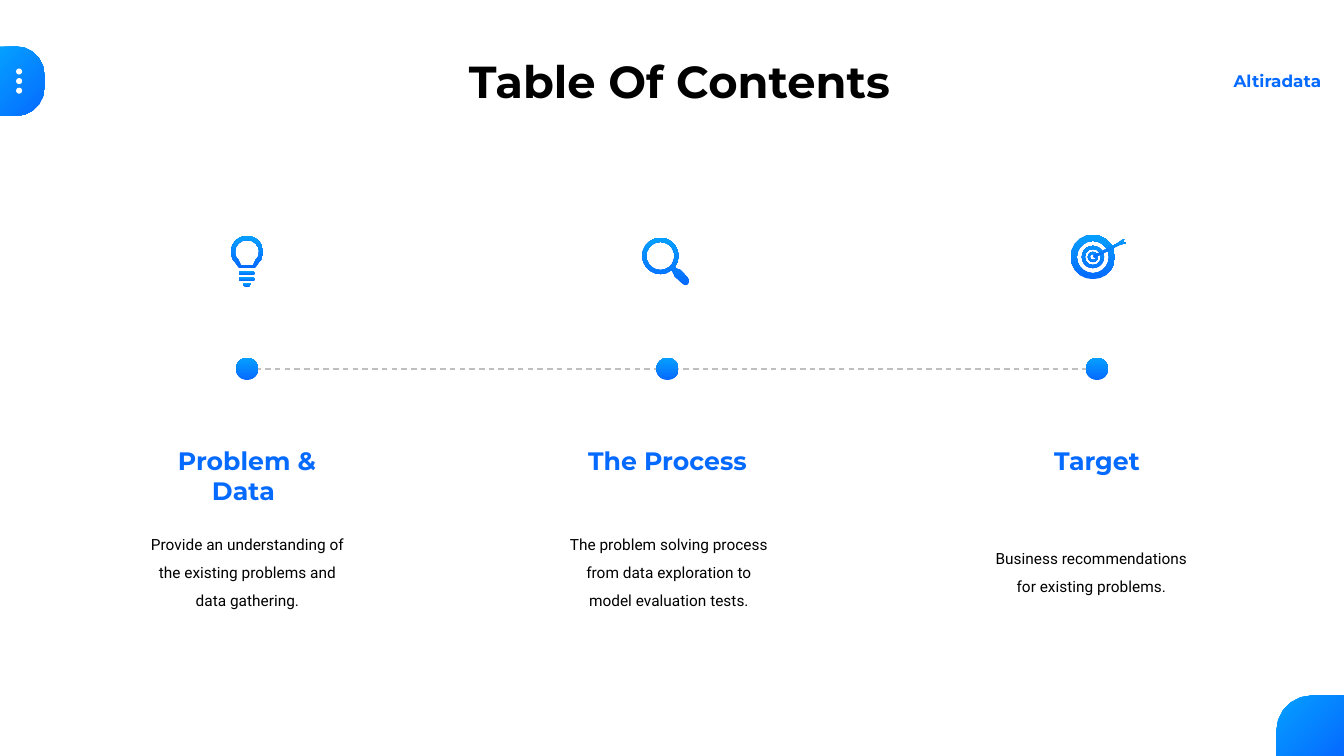
from dataclasses import dataclass
from math import cos, radians, sin
from typing import Callable

from lxml import etree
from pptx import Presentation
from pptx.dml.color import RGBColor
from pptx.enum.dml import MSO_LINE
from pptx.enum.shapes import MSO_CONNECTOR, MSO_SHAPE
from pptx.enum.text import MSO_ANCHOR, PP_ALIGN
from pptx.oxml.ns import qn
from pptx.util import Inches, Pt

OVAL = MSO_SHAPE.OVAL
STRAIGHT = MSO_CONNECTOR.STRAIGHT
DASH = MSO_LINE.DASH
CENTER = PP_ALIGN.CENTER
TOP, MIDDLE = MSO_ANCHOR.TOP, MSO_ANCHOR.MIDDLE


@dataclass(frozen=True)
class Theme:
    """Colours, fonts and type sizes of the deck."""
    deep: RGBColor = RGBColor(0x05, 0x6A, 0xFF)
    light: RGBColor = RGBColor(0x05, 0xA0, 0xFF)
    ink: RGBColor = RGBColor(0, 0, 0)
    paper: RGBColor = RGBColor(0xFF, 0xFF, 0xFF)
    rule: RGBColor = RGBColor(0xBF, 0xBF, 0xBF)
    display: str = "Montserrat"
    body: str = "Roboto"
    title_size: int = 32
    heading_size: int = 18
    brand_size: int = 12
    body_size: int = 11


THEME = Theme()


@dataclass(frozen=True)
class Topic:
    """One stop on the timeline."""
    center: float
    heading: str
    summary: str
    icon: Callable
    summary_shift: float = 0
    summary_drop: float = 0


def arc(cx, cy, radius, start, end):
    """Return points along an arc, in degrees clockwise from the right."""
    steps = round((end - start) / (18 if radius > 0.1 else 30))
    angles = [radians(start + (end - start) * i / steps) for i in range(steps + 1)]
    return [(cx + radius * cos(a), cy + radius * sin(a)) for a in angles]


def capsule(cx, cy, half, radius):
    """Return a horizontal bar with round ends."""
    return (arc(cx + half, cy, radius, -90, 90)
            + arc(cx - half, cy, radius, 90, 270))


def shade(shape, radial=False):
    """Fill a shape with the blue gradient and drop its line and shadow."""
    shape.shadow.inherit = False
    shape.line.fill.background()
    shape.fill.gradient()
    shape.fill.gradient_angle = 90
    for stop, color, position in zip(shape.fill.gradient_stops,
                                     (THEME.deep, THEME.light), (0, 1)):
        stop.color.rgb, stop.position = color, position
    if radial:
        gradient = shape._element.spPr.find(qn("a:gradFill"))
        gradient.remove(gradient.find(qn("a:lin")))
        focus = etree.SubElement(gradient, qn("a:path"), path="circle")
        etree.SubElement(focus, qn("a:fillToRect"), l="100000", t="100000")


def add_outline(slide, contours, radial=False):
    """Draw closed contours as one gradient shape."""
    first, *others = [[(Inches(x), Inches(y)) for x, y in c] for c in contours]
    builder = slide.shapes.build_freeform(*first[0])
    builder.add_line_segments(first[1:])
    for contour in others:
        builder.move_to(*contour[0])
        builder.add_line_segments(contour[1:])
    shade(builder.convert_to_shape(), radial)


def add_dot(slide, cx, cy, size):
    """Add a circle around a centre."""
    return slide.shapes.add_shape(OVAL, Inches(cx - size / 2), Inches(cy - size / 2),
                                  Inches(size), Inches(size))


def add_text(slide, box, text, font, size, color, bold=False, anchor=TOP, spacing=None):
    """Add centred text in a box."""
    frame = slide.shapes.add_textbox(*map(Inches, box)).text_frame
    frame.word_wrap = True
    frame.vertical_anchor = anchor
    frame.text = text
    for paragraph in frame.paragraphs:
        paragraph.alignment = CENTER
        paragraph.line_spacing = spacing
        paragraph.font.name = font
        paragraph.font.size = Pt(size)
        paragraph.font.bold = bold
        paragraph.font.color.rgb = color


def draw_bulb(slide, cx, cy):
    """Draw a light bulb around a centre."""
    def glass(radius, shoulder, foot, bottom):
        return arc(cx, cy, radius, 150, 390) + [
            (cx + shoulder, cy + bottom - 0.06), (cx + foot, cy + bottom),
            (cx - foot, cy + bottom), (cx - shoulder, cy + bottom - 0.06)]

    for bar in (0.21, 0.27):
        add_outline(slide, [capsule(cx, cy + bar, 0.06, 0.02)])
    add_outline(slide, [arc(cx, cy + 0.31, 0.04, 0, 180)])
    add_outline(slide, [glass(0.16, 0.12, 0.08, 0.16), glass(0.12, 0.09, 0.06, 0.13)])


def draw_magnifier(slide, cx, cy):
    """Draw a magnifying glass around a centre."""
    x, y = cx - 0.07, cy + 0.04
    rim = arc(x, y, 0.18, 52, 398)
    neck = [(x + 0.17, y + 0.13), (x + 0.2, y + 0.14)]
    grip = arc(x + 0.25, y + 0.25, 0.04, -45, 135)
    joint = [(x + 0.14, y + 0.2), (x + 0.13, y + 0.17)]
    add_outline(slide, [rim + neck + grip + joint, arc(x, y, 0.14, 0, 360)])


def draw_target(slide, cx, cy):
    """Draw a target with an arrow around a centre."""
    x, y = cx - 0.04, cy + 0.05
    add_outline(slide, [arc(x, y, radius, 0, 360)
                        for radius in (0.22, 0.16, 0.11, 0.08, 0.05, 0.03)])
    arrow = [(0, -0.01), (0.25, -0.14), (0.31, -0.18), (0.3, -0.15),
             (0.33, -0.14), (0.26, -0.12), (0.01, 0.01)]
    add_outline(slide, [[(x + dx, y + dy) for dx, dy in arrow]])


def add_menu_tab(slide, left, top, width, height):
    """Add the rounded tab with three dots at the left edge."""
    radius = 0.28
    x, bottom = left + width - radius, top + height
    add_outline(slide, [[(left, top)] + arc(x, top + radius, radius, -90, 0)
                        + arc(x, bottom - radius, radius, 0, 90) + [(left, bottom)]],
                radial=True)
    for row in (-1, 0, 1):
        dot = add_dot(slide, left + 0.19, top + height / 2 + row * 0.095, 0.06)
        dot.shadow.inherit = False
        dot.fill.solid()
        dot.fill.fore_color.rgb = THEME.paper
        dot.line.fill.background()


def add_corner(slide, left, top, width, height):
    """Add the rounded block in the bottom right corner."""
    radius, right, bottom = 0.35, left + width, top + height
    add_outline(slide, [arc(left + radius, top + radius, radius, 180, 270)
                        + [(right, top), (right, bottom), (left, bottom)]], radial=True)


def add_header(slide, left, top, width, height):
    """Add the title and the team name at its right."""
    add_text(slide, (left, top, width, height), "Table Of Contents", THEME.display,
             THEME.title_size, THEME.ink, True, MIDDLE)
    add_text(slide, (left + 7.67, top + 0.21, 1.22, 0.3), "Altiradata", THEME.display,
             THEME.brand_size, THEME.deep, True)


def add_timeline(slide, left, top, width, topics):
    """Add the dashed line and a column for each topic."""
    axis = top + 1.36
    line = slide.shapes.add_connector(STRAIGHT, Inches(left), Inches(axis),
                                      Inches(left + width), Inches(axis))
    line.line.color.rgb = THEME.rule
    line.line.width = Pt(1)
    line.line.dash_style = DASH
    etree.SubElement(line._element.spPr, qn("a:effectLst"))
    for topic in topics:
        topic.icon(slide, topic.center, top + 0.2)
        shade(add_dot(slide, topic.center, axis, 0.22))
        add_text(slide, (topic.center - 0.95, top + 2.07, 1.9, 0.71), topic.heading,
                 THEME.display, THEME.heading_size, THEME.deep, True)
        add_text(slide, (topic.center + topic.summary_shift - 1.08,
                         top + 2.87 + topic.summary_drop, 2.17,
                         0.9 - 2 * topic.summary_drop),
                 topic.summary, THEME.body, THEME.body_size, THEME.ink, spacing=1.5)


def main():
    """Build the contents slide."""
    deck = Presentation()
    deck.slide_width, deck.slide_height = Inches(13.33), Inches(7.5)
    slide = deck.slides.add_slide(deck.slide_layouts[6])
    add_menu_tab(slide, 0, 0.46, 0.44, 0.69)
    add_corner(slide, 12.66, 6.9, 0.67, 0.6)
    add_header(slide, 4.39, 0.44, 4.7, 0.72)
    add_timeline(slide, 2.34, 2.3, 8.66, [
        Topic(2.45, "Problem &\nData ", "Provide an understanding of the existing "
              "problems and data gathering.", draw_bulb),
        Topic(6.62, "The Process", "The problem solving process from data exploration "
              "to model evaluation tests.", draw_magnifier, 0.01),
        Topic(10.88, "Target", "Business recommendations for existing problems.",
              draw_target, -0.06, 0.14),
    ])
    deck.save("out.pptx")


if __name__ == "__main__":
    main()
